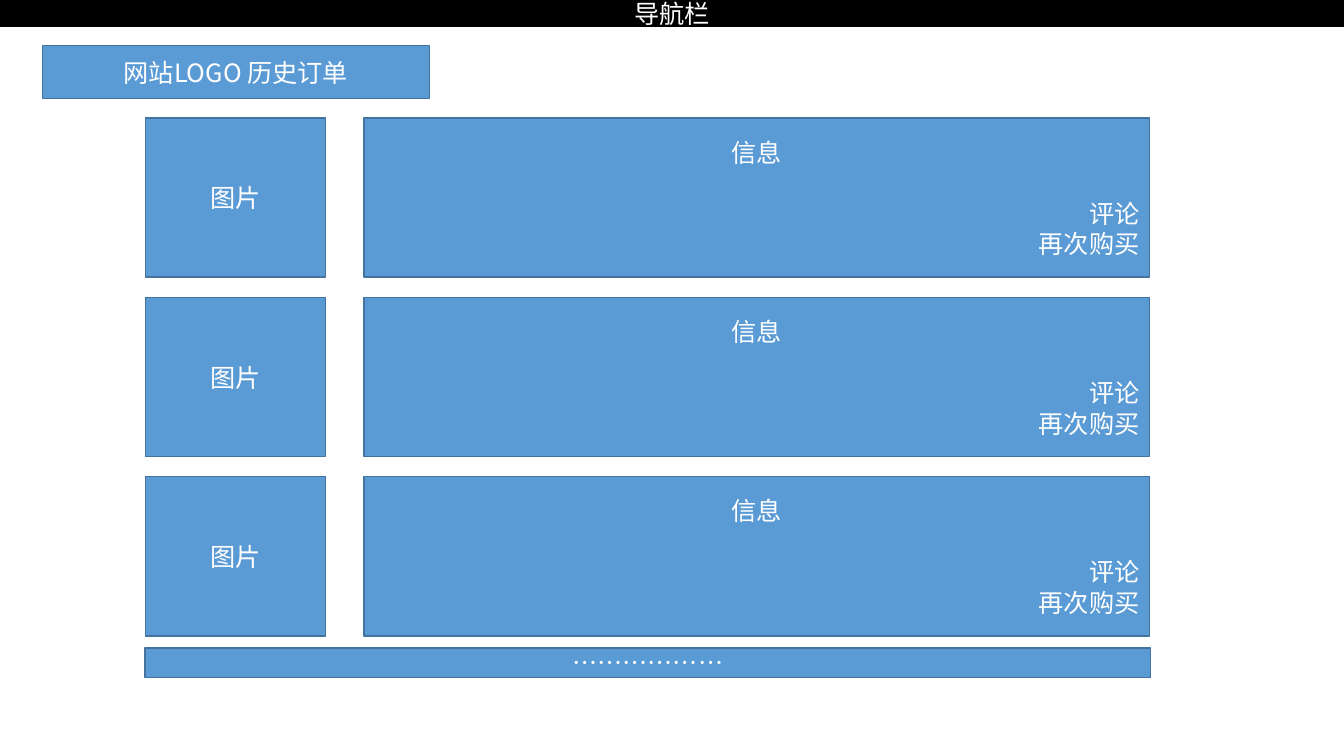
from lxml import etree
from pptx import Presentation
from pptx import util as u
from pptx.dml.color import RGBColor
from pptx.enum import shapes, text
from pptx.oxml.ns import qn

BLACK = RGBColor(0x00, 0x00, 0x00)
WHITE = RGBColor(0xFF, 0xFF, 0xFF)
BLUE = RGBColor(0x5B, 0x9B, 0xD5)
DARK_BLUE = RGBColor(0x43, 0x73, 0x9E)

PX = 9144
LINE = u.Pt(21.8)
CENTER, RIGHT = text.PP_ALIGN.CENTER, text.PP_ALIGN.RIGHT


class Wireframe:
    """Draws wireframe blocks on one slide in a shared style."""

    font_name = "Noto Sans CJK SC"
    font_format = {"name": font_name, "size": u.Pt(18)}

    def __init__(self, width, height):
        self.deck = Presentation()
        self.deck.slide_width, self.deck.slide_height = width * PX, height * PX
        self.slide = self.deck.slides.add_slide(self.deck.slide_layouts[6])

    def block(self, box, lines, fill=BLUE, line=DARK_BLUE, parent=None):
        target = parent or self.slide
        block = target.shapes.add_shape(
            shapes.MSO_SHAPE.RECTANGLE, *(side * PX for side in box))
        block.shadow.inherit = False
        block.fill.solid()
        block.fill.fore_color.rgb = fill
        block.line.color.rgb = line
        block.line.width = u.Pt(1)
        frame = block.text_frame
        frame.word_wrap = True
        frame.vertical_anchor = text.MSO_ANCHOR.MIDDLE
        for index, (words, layout) in enumerate(lines):
            paragraph = frame.add_paragraph() if index else frame.paragraphs[0]
            self.wording(paragraph, words, layout)

    def wording(self, paragraph, words, layout):
        for key, value in {"line_spacing": LINE, **layout}.items():
            setattr(paragraph, key, value)
        run = paragraph.add_run()
        run.text = words
        for key, value in self.font_format.items():
            setattr(run.font, key, value)
        run.font.color.rgb = WHITE
        properties = run._r.get_or_add_rPr()
        properties.set("lang", "zh-CN")
        etree.SubElement(properties, qn("a:ea"), typeface=self.font_name)

    def label(self, box, words, **style):
        self.block(box, [(words, {"alignment": CENTER})], **style)

    def order(self, top):
        order = self.slide.shapes.add_group_shape()
        self.label((144, top, 179, 158), "图片", parent=order)
        self.block((361, top, 779, 158), [
            ("信息", {"alignment": CENTER, "space_after": LINE}),
            ("评论", {"alignment": RIGHT}),
            ("再次购买", {"alignment": RIGHT}),
        ], parent=order)


def main():
    page = Wireframe(1333, 750)
    page.label((0, 0, 1333, 26), "导航栏", fill=BLACK, line=BLACK)
    for row in range(3):
        page.order(117 + row * 178)
    page.label((42, 45, 384, 53), "网站LOGO 历史订单")
    page.label((144, 643, 997, 29), "………………")
    page.deck.save("out.pptx")


if __name__ == "__main__":
    main()
